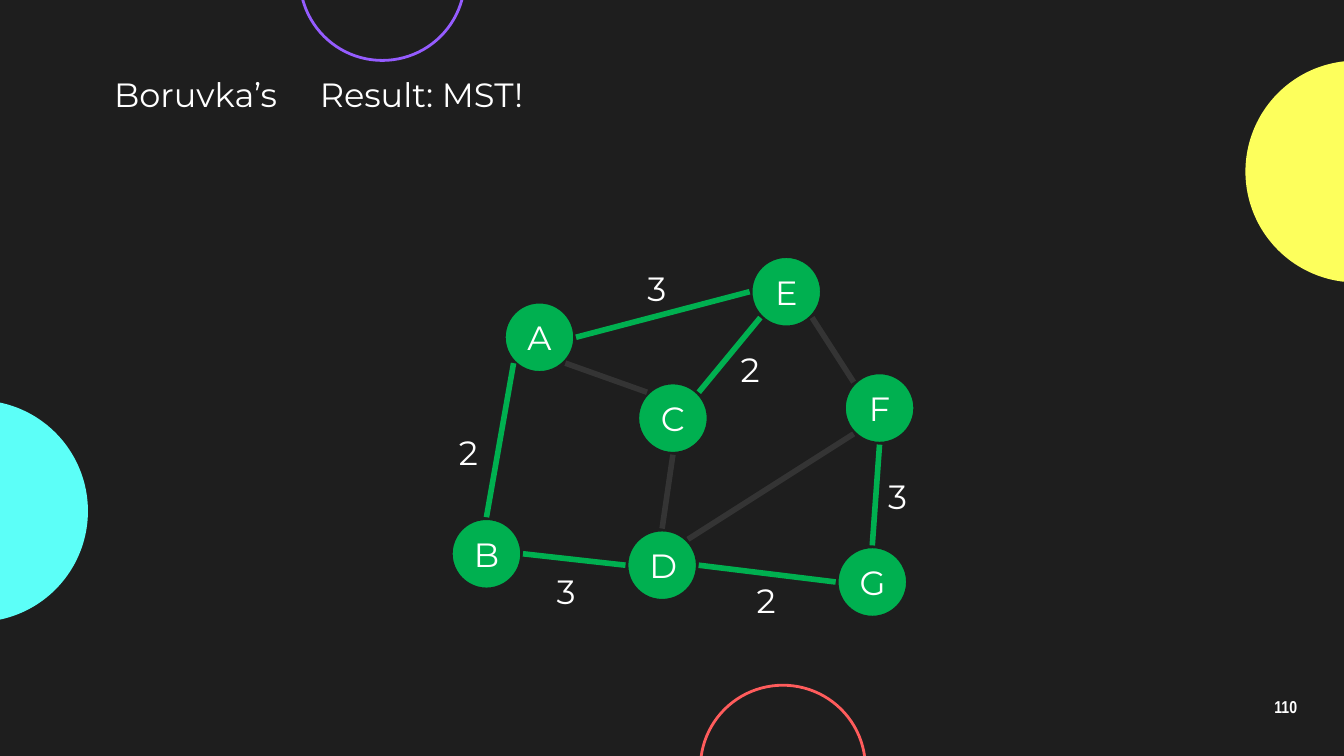
from math import cos, radians, sin

from lxml.etree import SubElement
from pptx import Presentation
from pptx.dml.color import RGBColor
from pptx.enum.shapes import MSO_CONNECTOR, MSO_SHAPE
from pptx.enum.text import MSO_ANCHOR, PP_ALIGN
from pptx.oxml.ns import qn
from pptx.util import Pt

COLORS = {
    "ground": "1E1E1E",
    "text": "FFFFFF",
    "tree": "00B050",
    "dropped": "343434",
    "cyan": "5CFFF8",
    "yellow": "FDFF5C",
    "purple": "955CFF",
    "red": "FF5C5C",
}
BODY = {"name": "Montserrat", "size": Pt(18)}
NUMBER = {"name": "Arial Narrow", "size": Pt(9.2), "bold": True}
DIAMETER = 39.2

NODES = {
    "A": (50, 44.7),
    "E": (182.2, 20.3),
    "C": (121.5, 88),
    "F": (232.2, 82.6),
    "D": (115.7, 166.8),
    "G": (228.3, 175.8),
    "B": (21.6, 160.7),
}
ANGLES = {"right": 0, "lower right": 45, "bottom": 90, "lower left": 135,
          "left": 180, "upper left": 225, "top": 270, "upper right": 315}
TREE_EDGES = [
    ("A", "right", "E", "left", "3", (100.8, 4)),
    ("C", "upper right", "E", "lower left", "2", (150.7, 47.2)),
    ("A", "lower left", "B", "top", "2", (-0.3, 91.8)),
    ("B", "right", "D", "left", "3", (52.1, 166.4)),
    ("D", "right", "G", "left", "2", (159.2, 171.4)),
    ("F", "bottom", "G", "top", "3", (229.7, 115.3)),
]
DROPPED_EDGES = [
    ("A", "lower right", "C", "upper left"),
    ("C", "bottom", "D", "top"),
    ("D", "upper right", "F", "lower left"),
    ("E", "lower right", "F", "upper left"),
]


def rgb(name):
    return RGBColor.from_string(COLORS[name])


def apply(target, values):
    for key, value in values.items():
        setattr(target, key, value)


def write(sp, text, font, paragraph=None, **frame):
    tf = sp.text_frame
    apply(tf, frame)
    p = tf.paragraphs[0]
    apply(p, paragraph or {})
    r = p.add_run()
    r.text = text
    apply(r.font, font)
    r.font.color.rgb = rgb("text")


def add_text(s, box, text, font=BODY, paragraph=None, **frame):
    sp = s.shapes.add_textbox(*map(Pt, box))
    write(sp, text, font, paragraph, **frame)


def add_circle(s, left, top, size, fill=None, line=None, width=1.5):
    sp = s.shapes.add_shape(MSO_SHAPE.OVAL, Pt(left), Pt(top), Pt(size), Pt(size))
    sp.shadow.inherit = False
    if fill:
        sp.fill.solid()
        sp.fill.fore_color.rgb = rgb(fill)
    else:
        sp.fill.background()
    if line:
        sp.line.color.rgb = rgb(line)
        sp.line.width = Pt(width)
    else:
        sp.line.fill.background()
    return sp


def add_edge(s, start, end, color):
    line = s.shapes.add_connector(MSO_CONNECTOR.STRAIGHT, *map(Pt, start + end))
    line.line.color.rgb = rgb(color)
    line.line.width = Pt(3)
    SubElement(line._element.spPr, qn("a:effectLst"))


def add_backdrop(s, left, top, width, height):
    s.background.fill.solid()
    s.background.fill.fore_color.rgb = rgb("ground")
    add_circle(s, left - 71.7, top + 214.4, 118.8, fill="cyan")
    add_circle(s, left + width - 52.8, top + 32.5, 118.8, fill="yellow")
    add_circle(s, left + 160.6, top - 56, 88.4, line="purple")
    add_circle(s, left + 375.2, top + height - 37.9, 88.4, line="red")


def add_header(s, left, top, width, height):
    second = 110.2
    add_text(s, (left, top, 107.3, height), "Boruvka’s", word_wrap=False)
    add_text(s, (left + second, top, width - second, height),
             "Result: MST!", word_wrap=False)


def add_graph(s, left, top):
    centers = {name: (left + x, top + y) for name, (x, y) in NODES.items()}
    radius = DIAMETER / 2

    def site(node, side):
        x, y = centers[node]
        angle = radians(ANGLES[side])
        return x + radius * cos(angle), y + radius * sin(angle)

    for name, (x, y) in centers.items():
        sp = add_circle(s, x - radius, y - radius, DIAMETER, "tree", "ground", 3)
        write(sp, name, BODY, {"alignment": PP_ALIGN.CENTER},
              vertical_anchor=MSO_ANCHOR.MIDDLE)
    for color, edges in (("tree", TREE_EDGES), ("dropped", DROPPED_EDGES)):
        for a, a_side, b, b_side, *_ in edges:
            add_edge(s, site(a, a_side), site(b, b_side), color)
    for *_, weight, (x, y) in TREE_EDGES:
        add_text(s, (left + x, top + y, 28, 29), weight, word_wrap=True)


def add_page_number(s, left, top, width, height):
    margins = {f"margin_{side}": Pt(7.2) for side in ("left", "right", "top", "bottom")}
    add_text(s, (left, top, width, height), "110", NUMBER,
             {"alignment": PP_ALIGN.CENTER, "line_spacing": 0.9},
             word_wrap=True, vertical_anchor=MSO_ANCHOR.MIDDLE, **margins)


def main():
    prs = Presentation()
    apply(prs, {"slide_width": Pt(720), "slide_height": Pt(405)})
    s = prs.slides.add_slide(prs.slide_layouts[6])
    add_backdrop(s, 0, 0, 720, 405)
    add_page_number(s, 667.2, 367.2, 43.2, 24.5)
    add_graph(s, 239, 136)
    add_header(s, 54, 36, 238.3, 29)
    prs.save("out.pptx")


if __name__ == "__main__":
    main()
